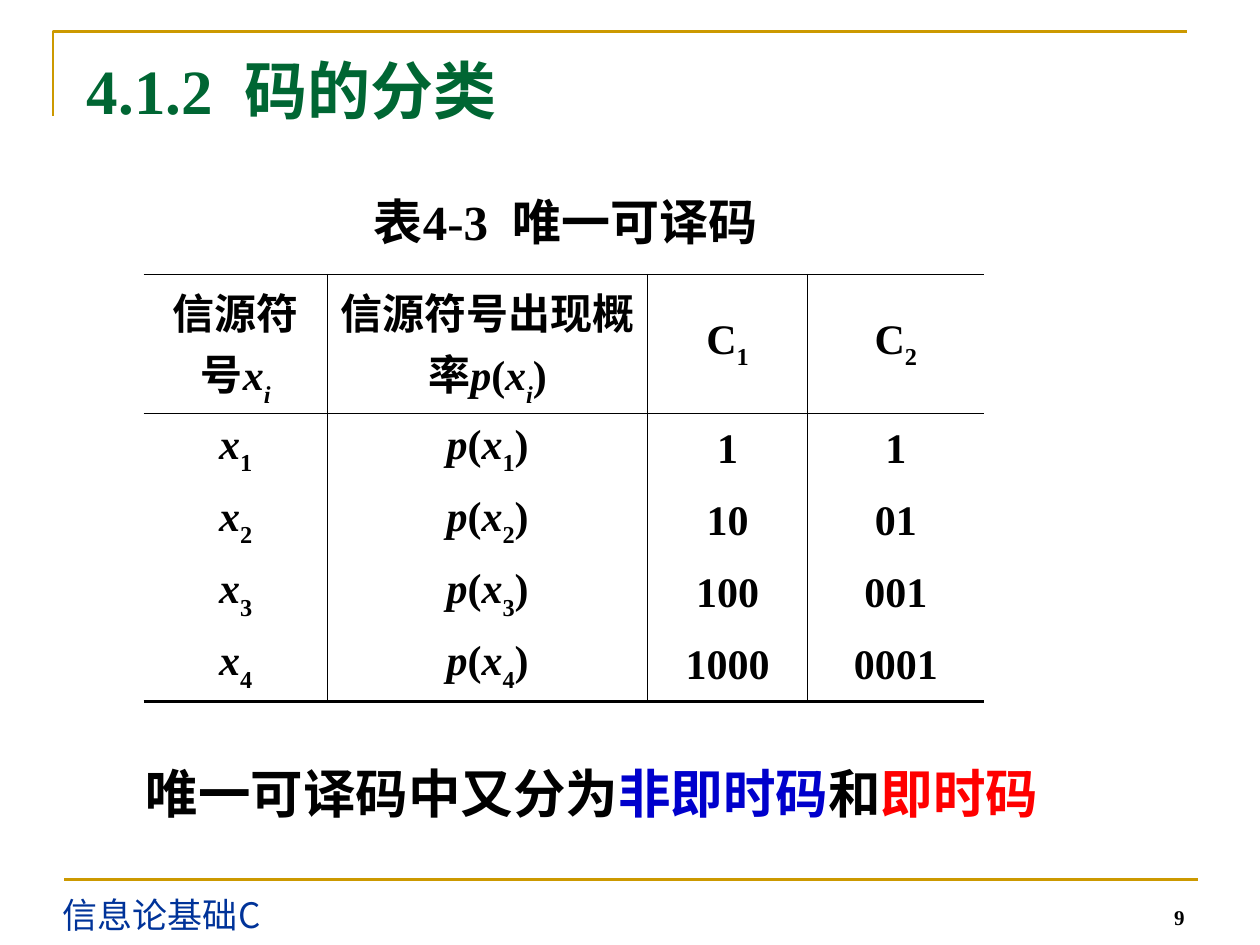
"""Build the slide on uniquely decodable codes."""
from lxml.etree import SubElement
from pptx import Presentation
from pptx.dml.color import RGBColor
from pptx.enum.shapes import MSO_CONNECTOR as Connector
from pptx.enum.text import MSO_ANCHOR as Anchor, MSO_AUTO_SIZE as AutoSize, PP_ALIGN as Align
from pptx.oxml import parse_xml
from pptx.oxml.ns import nsdecls, qn
from pptx.util import Inches, Pt

CJK = "Noto Sans CJK SC"
TIMES = "Times New Roman"
GOLD = "CC9900"
BLACK = "000000"


def color(value):
    return RGBColor.from_string(value)


def write(para, runs, size, hue=BLACK, name=TIMES, bold=True):
    for text, style in runs:
        span = para.add_run()
        span.text = text
        formats = {"size": Pt(size), "name": name, "bold": bold, "italic": style.get("italic", False)}
        for key, value in formats.items():
            setattr(span.font, key, value)
        span.font.color.rgb = color(style.get("hue", hue))
        SubElement(span.font._element, qn("a:ea")).set("typeface", CJK)
        if "base" in style:
            span.font._element.set("baseline", str(style["base"] * 1000))


deck = Presentation()
deck.slide_width, deck.slide_height = Inches(10), Inches(7.5)
page = deck.slides.add_slide(deck.slide_layouts[5])

builder = page.shapes.build_freeform(Inches(0.42), Inches(0.92))
builder.add_line_segments([(Inches(0.42), Inches(0.25)), (Inches(9.42), Inches(0.25))], close=False)
corner = builder.convert_to_shape()
corner.shadow.inherit = False
corner.fill.background()
rule = page.shapes.add_connector(Connector.STRAIGHT, Inches(0.51), Inches(6.98), Inches(9.51), Inches(6.98))
SubElement(rule._element.spPr, qn("a:effectLst"))
for stroke in (corner, rule):
    stroke.line.color.rgb = color(GOLD)
    stroke.line.width = Pt(1.5)

title = page.shapes.title
for key, value in {"left": 0.59, "top": 0.36, "width": 5.74, "height": 0.77}.items():
    setattr(title, key, Inches(value))
for key, value in {"vertical_anchor": Anchor.TOP, "auto_size": AutoSize.NONE, "word_wrap": True}.items():
    setattr(title.text_frame, key, value)
title.text_frame.paragraphs[0].alignment = Align.LEFT
write(title.text_frame.paragraphs[0], [("4.1.2  码的分类", {})], 36, "006633")

conclusion = [
    ("唯一可译码中又分为", {}),
    ("非即时码", {"hue": "0000CC"}),
    ("和", {}),
    ("即时码", {"hue": "FF0000"}),
]
texts = [
    ((0.4, 7.04, 2, 0.44), [("信息论基础C", {})], {"size": 20, "hue": "003399", "name": CJK, "bold": False}, Anchor.TOP, {}),
    ((8.16, 7.04, 1.34, 0.39), [("9", {})], {"size": 12}, Anchor.BOTTOM, {"alignment": Align.RIGHT}),
    ((2.87, 1.45, 4.1, 0.6), [("表4-3  唯一可译码", {})], {"size": 28}, Anchor.MIDDLE, {}),
    ((1.06, 5.87, 8.29, 0.9), conclusion, {"size": 30}, Anchor.TOP,
     {"alignment": Align.JUSTIFY, "line_spacing": 1.25, "space_before": Pt(6)}),
]
for place, runs, font, anchor, formats in texts:
    box = page.shapes.add_textbox(*map(Inches, place))
    box.text_frame.word_wrap = True
    box.text_frame.vertical_anchor = anchor
    para = box.text_frame.paragraphs[0]
    for key, value in formats.items():
        setattr(para, key, value)
    write(para, runs, **font)

ITALIC = {"italic": True}
LOW = {"base": -30}
LOW_ITALIC = {"italic": True, "base": -30}
rows = [[
    [("信源符号", {}), ("x", ITALIC), ("i", LOW_ITALIC)],
    [("信源符号出现概率", {}), ("p", ITALIC), ("(", {}), ("x", ITALIC), ("i", LOW_ITALIC), (")", {})],
    [("C", {}), ("1", {"base": -25})],
    [("C", {}), ("2", {"base": -25})],
]]
for index in range(1, 5):
    symbol = [("x", ITALIC), (str(index), LOW)]
    zeros = "0" * (index - 1)
    rows.append([
        symbol,
        [("p", ITALIC), ("(", {}), *symbol, (")", {})],
        [("1" + zeros, {})],
        [(zeros + "1", {})],
    ])

table = page.shapes.add_table(5, 4, Inches(1.14), Inches(2.18), Inches(6.67), Inches(3.3)).table
table.first_row = table.horz_banding = False
for column, width in zip(table.columns, (1.46, 2.54, 1.27, 1.4)):
    column.width = Inches(width)
for row, height in zip(table.rows, (1.1, 0.55, 0.55, 0.55, 0.55)):
    row.height = Inches(height)

for r, row in enumerate(rows):
    for c, runs in enumerate(row):
        cell = table.cell(r, c)
        cell.fill.background()
        cell.vertical_anchor = Anchor.MIDDLE
        para = cell.text_frame.paragraphs[0]
        para.alignment = Align.CENTER
        write(para, runs, 24)
        borders = {"L": c > 0, "R": c < 3, "T": r < 2, "B": {0: 1, 4: 2}.get(r, 0)}
        for position, (side, points) in enumerate(borders.items()):
            paint = f'<a:solidFill><a:srgbClr val="{BLACK}"/></a:solidFill>' if points else "<a:noFill/>"
            edge = parse_xml(f'<a:ln{side} {nsdecls("a")} w="{Pt(int(points))}">{paint}</a:ln{side}>')
            cell._tc.get_or_add_tcPr().insert(position, edge)

deck.save("out.pptx")
